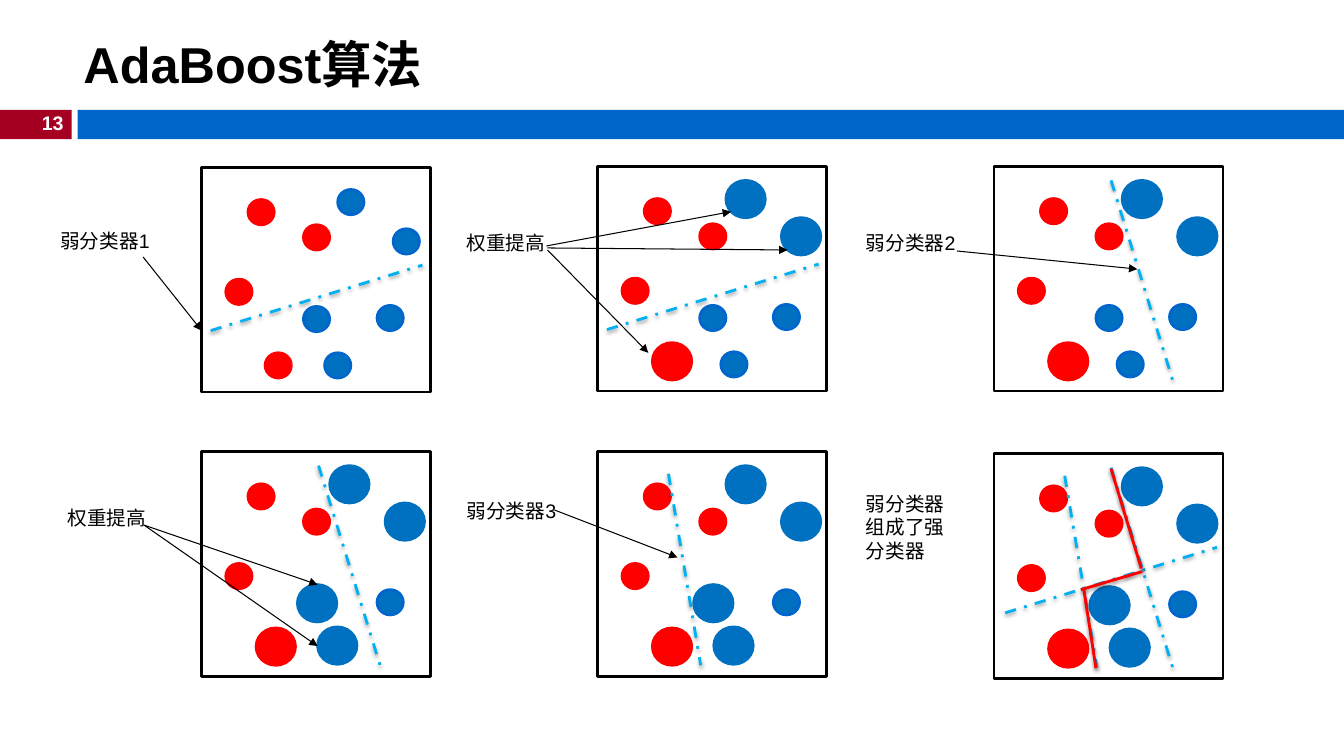
from lxml import etree
from pptx import Presentation
from pptx.dml.color import RGBColor
from pptx.enum import dml, shapes, text
from pptx.oxml import ns
from pptx.util import Inches, Pt

COLORS = {"black": "000000", "white": "FFFFFF", "red": "FF0000", "blue": "0070C0",
          "rim": "0066CC", "cyan": "00B0F0", "crimson": "A50021"}
FONT = "Arial"
TITLE = "AdaBoost算法"
PAGE_NUMBER = "13"

# Samples and classifiers are placed relative to a panel's top left corner.
PANEL_SIZE = (2.27, 2.23)
SMALL, BIG = (0.26, 0.25), (0.39, 0.37)
# name: (fill, position when small, position when its weight is raised)
SAMPLES = {
    "upper red": ("red", (0.46, 0.32), None),
    "left red": ("red", (0.24, 1.11), None),
    "middle red": ("red", (1.01, 0.57), None),
    "lower red": ("red", (0.63, 1.84), (0.54, 1.75)),
    "top blue": ("blue", (1.35, 0.22), (1.27, 0.14)),
    "right blue": ("blue", (1.9, 0.61), (1.82, 0.51)),
    "centre blue": ("blue", (1.01, 1.38), (0.95, 1.32)),
    "side blue": ("blue", (1.74, 1.37), None),
    "bottom blue": ("blue", (1.22, 1.84), (1.15, 1.74)),
}
CLASSIFIERS = {
    "first": ((0.09, 1.62), (2.19, 0.97)),
    "first, combined": ((0.11, 1.58), (2.21, 0.93)),
    "second": ((1.16, 0.14), (1.77, 2.12)),
    "third": ((0.7, 0.22), (1.02, 2.12)),
}
RAISED_ONCE = {"lower red", "top blue", "right blue"}
RAISED_TWICE = RAISED_ONCE | {"centre blue", "bottom blue"}
# corner, raised samples, classifiers below them, classifiers above them
PANELS = [
    ((2, 1.66), set(), ["first"], []),
    ((5.93, 1.65), RAISED_ONCE, ["first"], []),
    ((9.86, 1.65), RAISED_ONCE, ["second"], []),
    ((2, 4.48), RAISED_TWICE, ["second"], []),
    ((5.93, 4.48), RAISED_TWICE, ["third"], []),
    ((9.86, 4.5), RAISED_TWICE, ["third"], ["first, combined", "second"]),
]
LABELS = [
    ("弱分类器1", 0.5, 2.22, 0.34),
    ("权重提高", 4.53, 2.24, 0.34),
    ("弱分类器2", 8.49, 2.24, 0.34),
    ("权重提高", 0.57, 4.97, 0.34),
    ("弱分类器3", 4.53, 4.9, 0.34),
    ("弱分类器组成了强分类器", 8.49, 4.83, 0.81),
]
ARROWS = [
    ((1.42, 2.55), (2, 3.28)),
    ((5.43, 2.46), (7.81, 2.48)),
    ((5.42, 2.44), (7.25, 2.1)),
    ((5.43, 2.48), (6.43, 3.5)),
    ((9.49, 2.49), (11.28, 2.67)),
    ((1.43, 5.21), (3.15, 6.41)),
    ((1.43, 5.21), (3.15, 5.8)),
    ((5.5, 5.06), (6.72, 5.53)),
]
STRONG_CLASSIFIER = [
    ((11.02, 4.65), (11.32, 5.64)),
    ((10.72, 5.85), (11.33, 5.67)),
    ((10.75, 5.85), (10.87, 6.63)),
]

deck = Presentation()
deck.slide_width, deck.slide_height = Inches(13.33), Inches(7.5)
page = deck.slides.add_slide(deck.slide_layouts[6])


def rgb(name):
    return RGBColor.from_string(COLORS[name])


def add_shape(kind, corner, size, fill, line=None):
    shape = page.shapes.add_shape(kind, *map(Inches, (*corner, *size)))
    shape.shadow.inherit = False
    shape.fill.solid()
    shape.fill.fore_color.rgb = rgb(fill)
    if line:
        shape.line.color.rgb = rgb(line)
        shape.line.width = Pt(2)
    else:
        shape.line.fill.background()


def add_line(start, end, color, width=2, dash=None, arrow=False, shadow=True):
    line = page.shapes.add_connector(shapes.MSO_CONNECTOR.STRAIGHT,
                                     *map(Inches, (*start, *end)))
    line.line.color.rgb = rgb(color)
    line.line.width = Pt(width)
    if dash:
        line.line.dash_style = dash
    properties = line._element.spPr
    if arrow:
        etree.SubElement(properties.find(ns.qn("a:ln")), ns.qn("a:tailEnd"), type="triangle")
    effects = etree.SubElement(properties, ns.qn("a:effectLst"))
    if shadow:
        cast = etree.SubElement(effects, ns.qn("a:outerShdw"), blurRad=str(Pt(3.1)),
                                dist=str(Pt(1.6)), dir="5400000", rotWithShape="0")
        tint = etree.SubElement(cast, ns.qn("a:srgbClr"), val=COLORS["black"])
        etree.SubElement(tint, ns.qn("a:alpha"), val="38000")


def add_text(words, corner, size, points, color="black", bold=False, align=None, **frame):
    box = page.shapes.add_textbox(*map(Inches, (*corner, *size)))
    for name, value in {"word_wrap": True, **frame}.items():
        setattr(box.text_frame, name, value)
    para = box.text_frame.paragraphs[0]
    para.alignment = align
    span = para.add_run()
    span.text = words
    for name, value in {"name": FONT, "size": Pt(points), "bold": bold}.items():
        setattr(span.font, name, value)
    span.font.color.rgb = rgb(color)


def add_panel(corner, raised, lower_lines, upper_lines):
    """Draw one boosting round; raised samples lie between the two sets of lines."""
    def place(point):
        return corner[0] + point[0], corner[1] + point[1]

    def add_classifiers(names):
        for name in names:
            add_line(*map(place, CLASSIFIERS[name]), "cyan", dash=dml.MSO_LINE.DASH_DOT)

    oval = shapes.MSO_SHAPE.OVAL
    add_shape(shapes.MSO_SHAPE.RECTANGLE, corner, PANEL_SIZE, "white", "black")
    for name, (color, point, _) in SAMPLES.items():
        if name not in raised:
            add_shape(oval, place(point), SMALL, color, "rim" if color == "blue" else color)
    add_classifiers(lower_lines)
    for name, (color, _, point) in SAMPLES.items():
        if name in raised:
            add_shape(oval, place(point), BIG, color, color)
    add_classifiers(upper_lines)


grow = text.MSO_AUTO_SIZE.SHAPE_TO_FIT_TEXT
add_shape(shapes.MSO_SHAPE.RECTANGLE, (0, 1.09), (0.71, 0.29), "crimson")
add_shape(shapes.MSO_SHAPE.RECTANGLE, (0.77, 1.09), (12.56, 0.29), "rim")
add_text(PAGE_NUMBER, (0.29, 1.05), (0.44, 0.34), 14, "white", True,
         text.PP_ALIGN.RIGHT, word_wrap=False, auto_size=grow)
add_text(TITLE, (0.73, 0.26), (6.16, 0.74), 36, bold=True,
         vertical_anchor=text.MSO_ANCHOR.MIDDLE)
for panel in PANELS:
    add_panel(*panel)
for words, left, top, height in LABELS:
    add_text(words, (left, top), (1.12, height), 14, auto_size=grow)
for start, end in ARROWS:
    add_line(start, end, "black", 0.75, arrow=True, shadow=False)
for start, end in STRONG_CLASSIFIER:
    add_line(start, end, "red")

deck.save("out.pptx")
